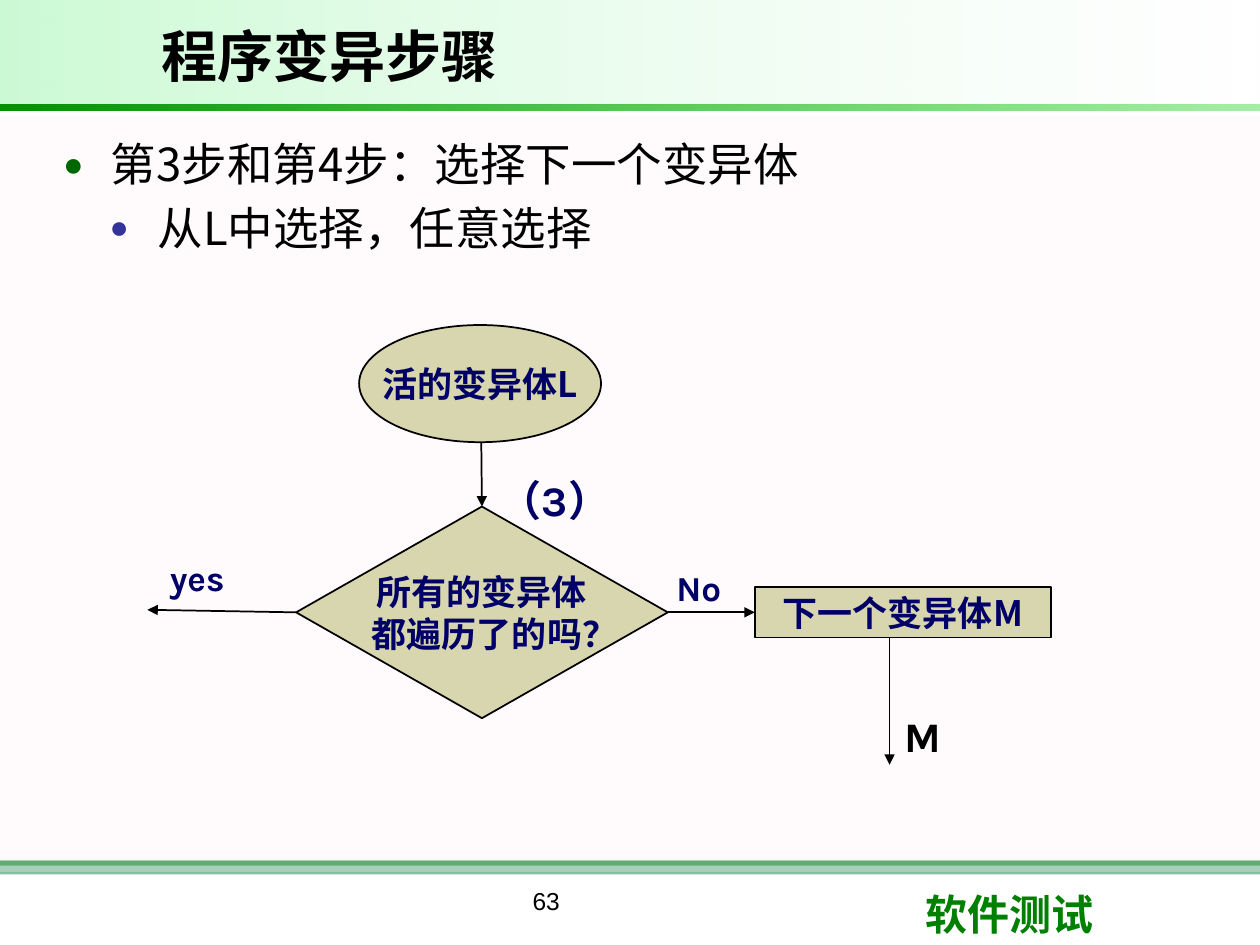
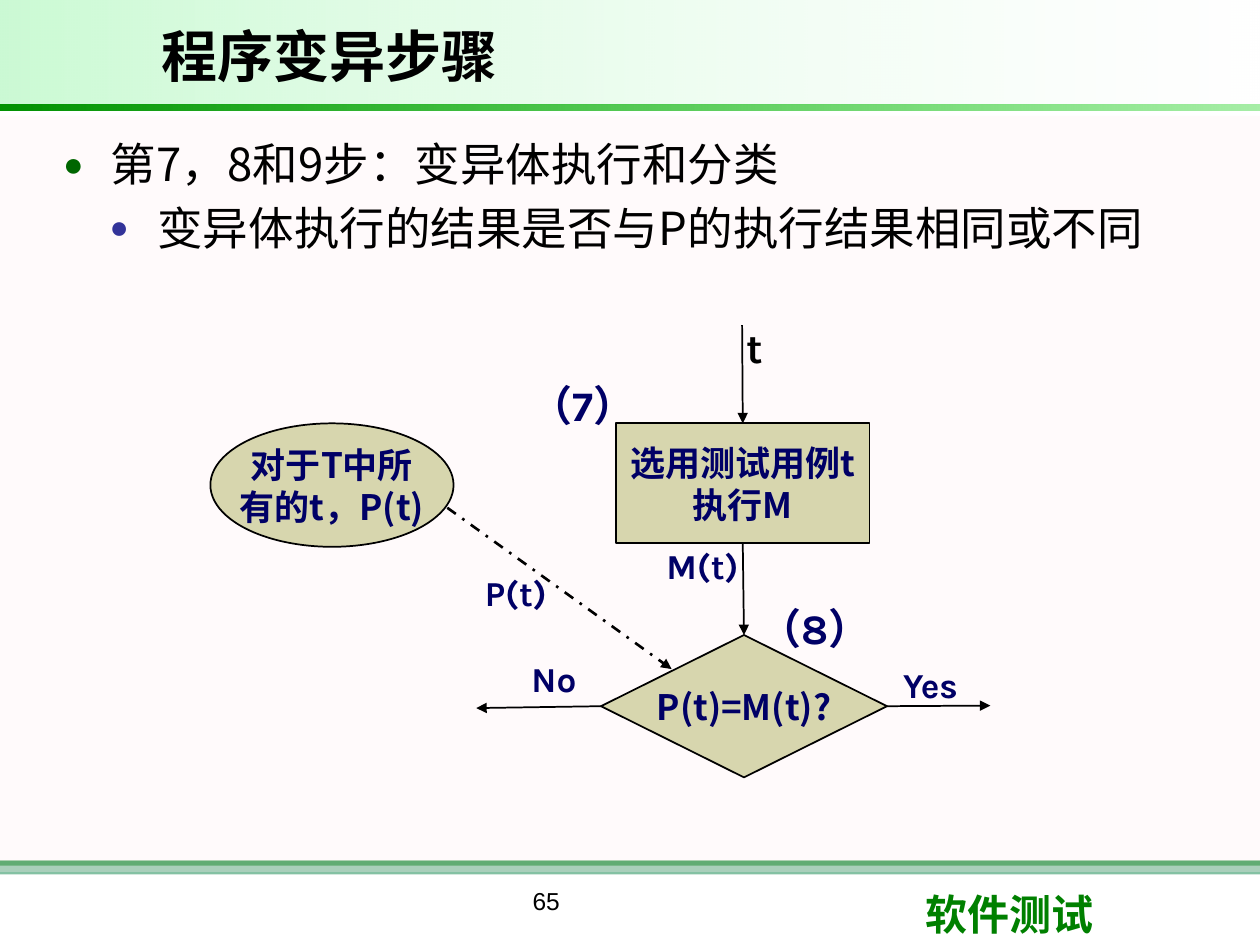
from lxml import etree
from pptx import Presentation
from pptx.dml.color import RGBColor
from pptx.enum import dml, shapes, text
from pptx.oxml.ns import qn
from pptx.util import Inches, Pt

BLACK = RGBColor(0x00, 0x00, 0x00)
WHITE = RGBColor(0xFF, 0xFF, 0xFF)
NAVY = RGBColor(0x00, 0x00, 0x66)
SAND = RGBColor(0xD7, 0xD6, 0xAE)
GREEN = RGBColor(0x00, 0x80, 0x00)
SEA_GREEN = RGBColor(0x33, 0x99, 0x66)
BLUSH = RGBColor(0xFF, 0xF0, 0xF5)
MINT = RGBColor(0x09, 0xE7, 0x33)
RULE_DARK = RGBColor(0x00, 0x92, 0x00)
RULE_LIGHT = RGBColor(0x00, 0xCC, 0x00)
BULLET_GREEN = RGBColor(0x00, 0x66, 0x00)
BULLET_BLUE = RGBColor(0x33, 0x33, 0x99)

HEADING_FONT = "Arial"
LIST_FONT = "Noto Sans CJK SC"
FLOW_FONT = "Noto Sans CJK JP"
LABEL_FONT = "Karla"
FOOTER_FONT = "Calibri"

OVAL = shapes.MSO_SHAPE.OVAL
PROCESS = shapes.MSO_SHAPE.FLOWCHART_PROCESS
DECISION = shapes.MSO_SHAPE.FLOWCHART_DECISION
TOP, LEFT, BOTTOM, RIGHT = range(4)


def box(*lengths):
    return [Inches(length) for length in lengths]


def add_run(paragraph, words, font, size, color, bold=False):
    run = paragraph.add_run()
    run.text = words
    run.font.name = font
    run.font.size = Pt(size)
    run.font.bold = bold
    run.font.color.rgb = color
    east_asian = etree.SubElement(run.font._element, qn("a:ea"))
    east_asian.set("typeface", font)


def add_band(slide, place, colors, opacities):
    band = slide.shapes.add_shape(shapes.MSO_SHAPE.RECTANGLE, *box(*place))
    band.shadow.inherit = False
    band.line.fill.background()
    if len(colors) == 1:
        band.fill.solid()
        band.fill.fore_color.rgb = colors[0]
    else:
        band.fill.gradient()
        band.fill.gradient_angle = 0
        for stop, color in zip(band.fill.gradient_stops, colors):
            stop.color.rgb = color
    tints = list(band.element.spPr.iter(qn("a:srgbClr")))
    for tint, opacity in zip(tints, opacities):
        if opacity < 100:
            etree.SubElement(tint, qn("a:alpha")).set("val", str(opacity * 1000))
    return band


def add_text(slide, place, words, font, size, color, bold=True, align=None):
    caption = slide.shapes.add_textbox(*box(*place))
    caption.text_frame.word_wrap = True
    paragraph = caption.text_frame.paragraphs[0]
    paragraph.alignment = align
    add_run(paragraph, words, font, size, color, bold)
    return caption


def add_frame(slide):
    frame = [
        add_band(slide, (0, 6.83, 10, 0.04), [GREEN], [100]),
        add_band(slide, (0, 6.83, 10, 0.11), [SEA_GREEN], [60]),
        add_band(slide, (0, 0.92, 10, 6), [BLUSH], [30]),
        add_text(slide, (7.25, 7, 2.37, 0.5), "软件测试", FOOTER_FONT, 24, GREEN),
        add_band(slide, (0, 0, 10, 0.83), [MINT, WHITE], [21, 10]),
        add_band(slide, (0, 0.83, 10, 0.05), [RULE_DARK, RULE_LIGHT], [100, 35]),
    ]
    layout_tree = slide.slide_layout.shapes.element
    for order, part in enumerate(frame):
        part.element.nvSpPr.cNvPr.set("id", str(100 + order))
        layout_tree.insert(2 + order, part.element)


def set_bullet(paragraph, margin, color, percent):
    properties = paragraph._p.get_or_add_pPr()
    properties.set("marL", str(Inches(margin)))
    properties.set("indent", str(Inches(-0.38)))
    tint = etree.SubElement(properties, qn("a:buClr"))
    etree.SubElement(tint, qn("a:srgbClr")).set("val", str(color))
    etree.SubElement(properties, qn("a:buSzPct")).set("val", str(percent * 1000))
    etree.SubElement(properties, qn("a:buChar")).set("char", "●")


def place_placeholder(placeholder, place):
    placeholder.left, placeholder.top, placeholder.width, placeholder.height = box(*place)
    placeholder.text_frame.auto_size = text.MSO_AUTO_SIZE.NONE
    return placeholder.text_frame


def fill_outline(slide, page, step, detail):
    title = place_placeholder(slide.shapes.title, (1.18, 0.08, 6.97, 0.71))
    title.vertical_anchor = text.MSO_ANCHOR.MIDDLE
    heading = title.paragraphs[0]
    heading.alignment = text.PP_ALIGN.LEFT
    add_run(heading, "程序变异步骤", HEADING_FONT, 32, BLACK, True)

    body = place_placeholder(slide.placeholders[1], (0.39, 1.08, 9.36, 5.58))
    levels = [
        (body.paragraphs[0], step, 0.39, BULLET_GREEN, 75, 0, 6),
        (body.add_paragraph(), detail, 0.76, BULLET_BLUE, 70, 2.3, 0),
    ]
    for level, (item, words, margin, color, percent, before, after) in enumerate(levels):
        set_bullet(item, margin, color, percent)
        item.level = level
        item.line_spacing = 0.9
        item.space_before = Pt(before)
        item.space_after = Pt(after)
        add_run(item, words, LIST_FONT, 26, BLACK)

    add_text(slide, (2.75, 6.98, 3.17, 0.52), page, HEADING_FONT, 14, BLACK,
             False, text.PP_ALIGN.CENTER)


def add_node(slide, kind, place, lines, last_margin=0):
    node = slide.shapes.add_shape(kind, *box(*place))
    node.shadow.inherit = False
    node.fill.solid()
    node.fill.fore_color.rgb = SAND
    node.line.color.rgb = BLACK
    node.line.width = Pt(1)
    frame = node.text_frame
    frame.word_wrap = False
    frame.vertical_anchor = text.MSO_ANCHOR.MIDDLE
    for index, words in enumerate(lines):
        paragraph = frame.add_paragraph() if index else frame.paragraphs[0]
        paragraph.alignment = text.PP_ALIGN.CENTER
        add_run(paragraph, words, FLOW_FONT, 20, NAVY, True)
    if last_margin:
        paragraph._p.get_or_add_pPr().set("marL", str(Inches(last_margin)))
    return node


def add_arrow(slide, start, end, width=1, dash=None):
    arrow = slide.shapes.add_connector(
        shapes.MSO_CONNECTOR.STRAIGHT, *box(*start, *end))
    arrow.line.color.rgb = BLACK
    arrow.line.width = Pt(width)
    if dash:
        arrow.line.dash_style = dash
    properties = arrow.element.spPr
    outline = properties.find(qn("a:ln"))
    etree.SubElement(outline, qn("a:tailEnd")).set("type", "triangle")
    etree.SubElement(properties, qn("a:effectLst"))
    return arrow


def add_branch_label(slide, left, top, words):
    add_text(slide, (left, top, 0.84, 0.44), words, LABEL_FONT, 20, NAVY)


def add_step_label(slide, left, top, words, color=NAVY, width=1.4):
    add_text(slide, (left, top, width, 0.5), words, LABEL_FONT, 24, color)


def draw_selection(slide):
    add_node(slide, OVAL, (2.85, 2.58, 1.92, 0.93), ["活的变异体L"])
    next_mutant = add_node(slide, PROCESS, (5.99, 4.66, 2.35, 0.4), ["下一个变异体M"])
    all_visited = add_node(slide, DECISION, (2.35, 4.02, 2.95, 1.68),
                           ["所有的变异体", "都遍历了的吗？"], 0.2)

    add_arrow(slide, (3.82, 3.51), (3.82, 4.02)).end_connect(all_visited, TOP)
    add_arrow(slide, (2.35, 4.86), (1.17, 4.84)).begin_connect(all_visited, LEFT)
    to_next = add_arrow(slide, (5.3, 4.86), (5.99, 4.86))
    to_next.begin_connect(all_visited, RIGHT)
    to_next.end_connect(next_mutant, LEFT)
    add_arrow(slide, (7.06, 5.06), (7.06, 6.07))

    add_step_label(slide, 3.87, 3.72, "（3）")
    add_branch_label(slide, 1.25, 4.37, "yes")
    add_branch_label(slide, 5.27, 4.45, "No")
    add_step_label(slide, 7.08, 5.59, "M", BLACK, 0.7)


def draw_classification(slide):
    same_result = add_node(slide, DECISION, (4.77, 5.04, 2.27, 1.13), ["P(t)=M(t)?"])
    add_node(slide, OVAL, (1.67, 3.36, 1.93, 0.98), ["对于T中所", "有的t，P(t)"])
    run_mutant = add_node(slide, PROCESS, (4.89, 3.36, 2.01, 0.95),
                          ["选用测试用例t", "执行M"])

    add_arrow(slide, (5.89, 2.58), (5.89, 3.36)).end_connect(run_mutant, TOP)
    add_arrow(slide, (4.77, 5.6), (3.78, 5.62)).begin_connect(same_result, LEFT)
    add_arrow(slide, (7.04, 5.6), (7.86, 5.6)).begin_connect(same_result, RIGHT)
    add_arrow(slide, (3.55, 4.03), (5.33, 5.31), 1.5, dml.MSO_LINE.DASH_DOT)
    to_compare = add_arrow(slide, (5.89, 4.31), (5.89, 5.04))
    to_compare.begin_connect(run_mutant, BOTTOM)
    to_compare.end_connect(same_result, TOP)

    add_step_label(slide, 5.93, 4.73, "（8）")
    add_step_label(slide, 4.11, 2.96, "（7）")
    add_step_label(slide, 5.83, 2.5, "t", BLACK, 0.7)
    add_branch_label(slide, 5.19, 4.27, "M(t)")
    add_branch_label(slide, 3.75, 4.49, "P(t)")
    add_branch_label(slide, 4.12, 5.17, "No")
    add_branch_label(slide, 7.07, 5.22, "Yes")


def main():
    deck = Presentation()
    deck.slide_width, deck.slide_height = Inches(10), Inches(7.5)
    layout = deck.slide_layouts[1]

    selection = deck.slides.add_slide(layout)
    add_frame(selection)
    fill_outline(selection, "63", "第3步和第4步：选择下一个变异体", "从L中选择，任意选择")
    draw_selection(selection)

    classification = deck.slides.add_slide(layout)
    fill_outline(classification, "65", "第7，8和9步：变异体执行和分类",
                 "变异体执行的结果是否与P的执行结果相同或不同")
    draw_classification(classification)

    deck.save("out.pptx")


if __name__ == "__main__":
    main()
